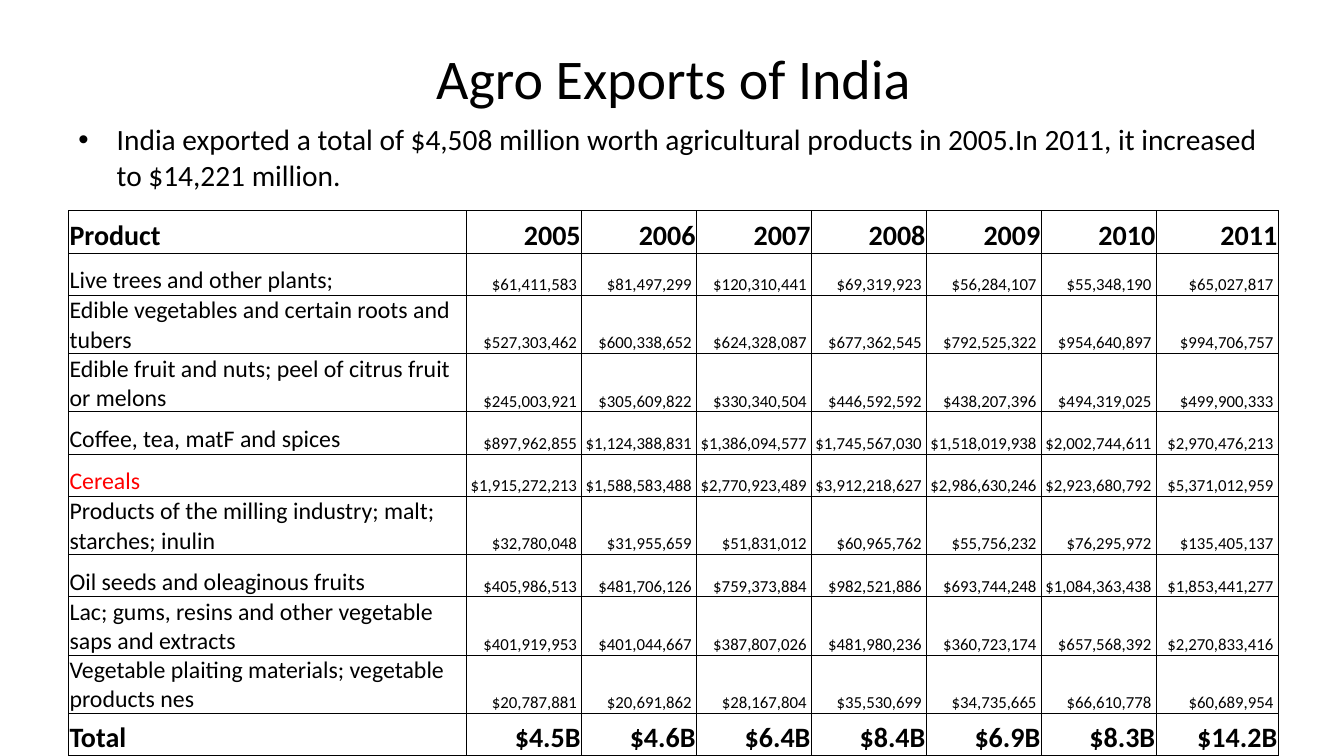
import dataclasses

import lxml.etree
import pptx
import pptx.dml.color
import pptx.enum.text
import pptx.oxml.ns
import pptx.util

PX = 9144
ALIGN = pptx.enum.text.PP_ALIGN
ANCHOR = pptx.enum.text.MSO_ANCHOR


@dataclasses.dataclass(frozen=True)
class Theme:
    font: str = "Calibri"
    ink: str = "000000"
    highlight: str = "FF0000"
    title: int = 40
    body: int = 21
    heading: int = 20
    product: int = 17
    amount: int = 12
    border: float = 0.5


THEME = Theme()
YEARS = range(2005, 2012)
COLUMN_WIDTHS = [395] + [114] * 6 + [121]
HIGHLIGHTED = "Cereals"
EXPORTS = {
    "Live trees and other plants;":
        [61411583, 81497299, 120310441, 69319923, 56284107, 55348190, 65027817],
    "Edible vegetables and certain roots and tubers":
        [527303462, 600338652, 624328087, 677362545, 792525322, 954640897, 994706757],
    "Edible fruit and nuts; peel of citrus fruit or melons":
        [245003921, 305609822, 330340504, 446592592, 438207396, 494319025, 499900333],
    "Coffee, tea, matF and spices":
        [897962855, 1124388831, 1386094577, 1745567030, 1518019938, 2002744611, 2970476213],
    "Cereals":
        [1915272213, 1588583488, 2770923489, 3912218627, 2986630246, 2923680792, 5371012959],
    "Products of the milling industry; malt; starches; inulin":
        [32780048, 31955659, 51831012, 60965762, 55756232, 76295972, 135405137],
    "Oil seeds and oleaginous fruits":
        [405986513, 481706126, 759373884, 982521886, 693744248, 1084363438, 1853441277],
    "Lac; gums, resins and other vegetable saps and extracts":
        [401919953, 401044667, 387807026, 481980236, 360723174, 657568392, 2270833416],
    "Vegetable plaiting materials; vegetable products nes":
        [20787881, 20691862, 28167804, 35530699, 34735665, 66610778, 60689954],
}
TOTALS = [4.5, 4.6, 6.4, 8.4, 6.9, 8.3, 14.2]


def px(*lengths):
    """Turn px lengths into EMU."""
    return [pptx.util.Emu(length * PX) for length in lengths]


def write(frame, text, size, align=ALIGN.LEFT, color=THEME.ink, bold=False):
    """Write one formatted paragraph and return it."""
    paragraph = frame.paragraphs[0]
    paragraph.text = text
    paragraph.alignment = align
    for run in paragraph.runs:
        run.font.name = THEME.font
        run.font.size = pptx.util.Pt(size)
        run.font.bold = bold
        run.font.color.rgb = pptx.dml.color.RGBColor.from_string(color)
    return paragraph


def add_frame(slide, box):
    """Add a wrapping, vertically centred text box and return its frame."""
    frame = slide.shapes.add_textbox(*px(*box)).text_frame
    frame.word_wrap = True
    frame.vertical_anchor = ANCHOR.MIDDLE
    return frame


def add_title(slide, box):
    """Place the slide title."""
    write(add_frame(slide, box), "Agro Exports of India", THEME.title, ALIGN.CENTER)


def add_summary(slide, box):
    """Place the bulleted summary of export growth."""
    summary = write(
        add_frame(slide, box),
        "India exported a total of $4,508 million worth agricultural products in 2005."
        "In 2011, it increased to $14,221 million.",
        THEME.body,
    )
    properties = summary._p.get_or_add_pPr()
    indent = 38 * PX
    properties.set("marL", str(indent))
    properties.set("indent", str(-indent))
    for tag, key, value in (("a:buFont", "typeface", "Arial"), ("a:buChar", "char", "•")):
        bullet = lxml.etree.SubElement(properties, pptx.oxml.ns.qn(tag))
        bullet.set(key, value)


def add_borders(cell):
    """Draw a thin line on all four sides of a cell."""
    properties = cell._tc.get_or_add_tcPr()
    for position, side in enumerate("LRTB"):
        line = lxml.etree.Element(pptx.oxml.ns.qn(f"a:ln{side}"))
        line.set("w", str(pptx.util.Pt(THEME.border)))
        fill = lxml.etree.SubElement(line, pptx.oxml.ns.qn("a:solidFill"))
        lxml.etree.SubElement(fill, pptx.oxml.ns.qn("a:srgbClr")).set("val", THEME.ink)
        properties.insert(position, line)


def fill_cell(cell, text, size, align, color, bold):
    """Format one table cell and write its text."""
    cell.margin_left, cell.margin_right, cell.margin_top, cell.margin_bottom = px(1, 1, 1, 0)
    cell.vertical_anchor = ANCHOR.BOTTOM
    cell.fill.background()
    add_borders(cell)
    write(cell.text_frame, text, size, align, color, bold)


def add_exports(slide, box, row_height):
    """Place the table of exports by product and year."""
    rows = [["Product", *map(str, YEARS)]]
    rows += [[product, *(f"${amount:,} " for amount in amounts)]
             for product, amounts in EXPORTS.items()]
    rows.append(["Total", *(f"${total}B" for total in TOTALS)])
    table = slide.shapes.add_table(len(rows), len(COLUMN_WIDTHS), *px(*box)).table
    table.first_row = table.horz_banding = False
    for column, width in zip(table.columns, px(*COLUMN_WIDTHS)):
        column.width = width
    for row_index, texts in enumerate(rows):
        table.rows[row_index].height = px(row_height)[0]
        bold = row_index in (0, len(rows) - 1)
        for column_index, text in enumerate(texts):
            is_label = column_index == 0
            size = THEME.heading if bold else THEME.product if is_label else THEME.amount
            align = ALIGN.LEFT if is_label else ALIGN.RIGHT
            color = THEME.highlight if text == HIGHLIGHTED else THEME.ink
            fill_cell(table.cell(row_index, column_index), text, size, align, color, bold)


def main():
    """Build the slide and save it."""
    presentation = pptx.Presentation()
    presentation.slide_width, presentation.slide_height = px(1333, 750)
    slide = presentation.slides.add_slide(presentation.slide_layouts[6])
    left, width = 68, sum(COLUMN_WIDTHS)
    add_title(slide, (left, 38, width, 77))
    add_summary(slide, (left, 115, width, 81))
    add_exports(slide, (left, 209, width, 462), 42)
    presentation.save("out.pptx")


if __name__ == "__main__":
    main()
